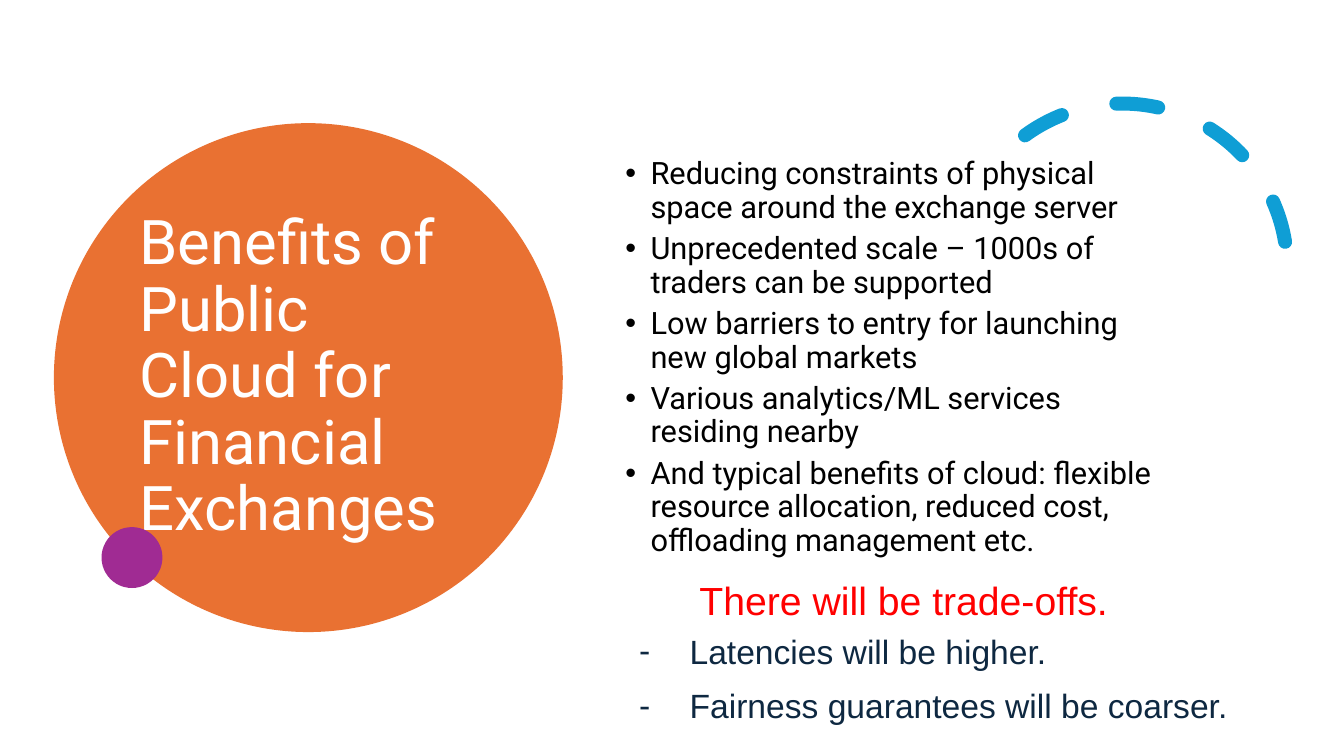
from lxml import etree
from pptx import Presentation
from pptx import util as u
from pptx.dml.color import RGBColor
from pptx.enum import dml, shapes, text
from pptx.oxml.ns import qn

SLIDE_W, SLIDE_H = 960, 540
ORANGE, PURPLE, BLUE = "E97132", "A02B93", "0F9ED5"
WHITE, BLACK, RED, NAVY = "FFFFFF", "000000", "FF0000", "0E2841"

TITLE = "Benefits of Public Cloud for Financial Exchanges"
BENEFITS = [
    "Reducing constraints of physical space around the exchange server",
    "Unprecedented scale – 1000s of traders can be supported",
    "Low barriers to entry for launching new global markets",
    "Various analytics/ML services residing nearby",
    "And typical benefits of cloud: flexible resource allocation, "
    "reduced cost, offloading management etc.",
]
WARNING = "There will be trade-offs."
COSTS = ["Latencies will be higher.", "Fairness guarantees will be coarser."]

TITLE_FONT = {"name": "Roboto", "size": u.Pt(44)}
BENEFIT_FONT = {"name": "Roboto", "size": u.Pt(22)}
WARNING_FONT = {"name": "Arial", "size": u.Pt(28)}
COST_FONT = {"name": "Arial", "size": u.Pt(24)}


def rgb(code):
    return RGBColor.from_string(code)


def apply(target, values):
    for key, value in values.items():
        setattr(target, key, value)


def place(part, box):
    apply(part, dict(zip(("left", "top", "width", "height"), map(u.Pt, box))))


def add_bullet(paragraph, mark, color, margin, hanging):
    props = paragraph._p.get_or_add_pPr()
    props.set("marL", str(u.Pt(margin)))
    props.set("indent", str(-u.Pt(hanging)))
    tint = etree.SubElement(props, qn("a:buClr"))
    etree.SubElement(tint, qn("a:srgbClr"), val=color)
    etree.SubElement(props, qn("a:buFont"), typeface="Arial")
    etree.SubElement(props, qn("a:buChar"), char=mark)


def write(frame, lines, font, color, line_spacing=1.0, after=6, bullet=None):
    """Fill a text frame; bullet is (mark, margin, hanging indent)."""
    apply(frame, {"word_wrap": True, "auto_size": text.MSO_AUTO_SIZE.NONE})
    frame.text = "\n".join(lines)
    for paragraph in frame.paragraphs:
        apply(paragraph, {"alignment": text.PP_ALIGN.LEFT,
                          "line_spacing": line_spacing,
                          "space_before": u.Pt(0), "space_after": u.Pt(after)})
        if bullet:
            mark, margin, hanging = bullet
            add_bullet(paragraph, mark, color, margin, hanging)
        for run in paragraph.runs:
            apply(run.font, font)
            run.font.color.rgb = rgb(color)


def add_disc(slide, box, color):
    disc = slide.shapes.add_shape(shapes.MSO_SHAPE.OVAL, *map(u.Pt, box))
    disc.shadow.inherit = False
    disc.fill.solid()
    disc.fill.fore_color.rgb = rgb(color)
    disc.line.fill.background()
    return disc


def add_title_disc(slide, box):
    left, top, size = box
    disc = add_disc(slide, (left, top, size, size), ORANGE)
    slide.shapes._spTree.insert(2, disc._element)  # behind the title

    title = slide.shapes.title
    place(title, (left + 54, top + 22, 255, 320))
    write(title.text_frame, [TITLE], TITLE_FONT, WHITE, 0.9, after=0)
    title.text_frame.vertical_anchor = text.MSO_ANCHOR.MIDDLE

    # Small accent on the lower left rim
    add_disc(slide, (left + 34, top + 288.5, 43.5, 43.5), PURPLE)


def add_dashed_arc(slide, box):
    arc = slide.shapes.add_shape(shapes.MSO_SHAPE.ARC, *map(u.Pt, box))
    arc.shadow.inherit = False
    arc.adjustments[0], arc.adjustments[1] = 158.17, 17.81
    arc.rotation = 330.2
    arc.fill.background()
    arc.line.color.rgb = rgb(BLUE)
    apply(arc.line, {"width": u.Pt(10), "dash_style": dml.MSO_LINE.DASH})
    arc._element.spPr.find(qn("a:ln")).set("cap", "rnd")


def add_benefits(slide, box):
    benefits = slide.placeholders[1]
    place(benefits, box)
    write(benefits.text_frame, BENEFITS, BENEFIT_FONT, BLACK, 0.9,
          bullet=("•", 48, 18))
    benefits.text_frame.vertical_anchor = text.MSO_ANCHOR.TOP


def add_padded_text(slide, box):
    frame = slide.shapes.add_textbox(*map(u.Pt, box)).text_frame
    sides = ("left", "top", "right", "bottom")
    apply(frame, {f"margin_{side}": u.Pt(9.6) for side in sides})
    return frame


def add_trade_offs(slide, box):
    left, top, width, height = box
    warning = add_padded_text(slide, (left + 55, top, width - 55, 60))
    write(warning, [WARNING], WARNING_FONT, RED)
    costs = add_padded_text(slide, (left, top + 34.5, width, height - 34.5))
    write(costs, COSTS, COST_FONT, NAVY, 1.15, bullet=("-", 48, 36))


def add_benefits_slide(deck):
    slide = deck.slides.add_slide(deck.slide_layouts[1])
    add_title_disc(slide, (38.5, 88, 363.5))
    add_dashed_arc(slide, (684, 74, 235.5, 235.5))
    add_benefits(slide, (409.5, 109.5, 435.5, 309.5))
    add_trade_offs(slide, (435, 402, SLIDE_W - 435, SLIDE_H - 402))


def main():
    deck = Presentation()
    apply(deck, {"slide_width": u.Pt(SLIDE_W), "slide_height": u.Pt(SLIDE_H)})
    add_benefits_slide(deck)
    deck.save("out.pptx")


if __name__ == "__main__":
    main()
